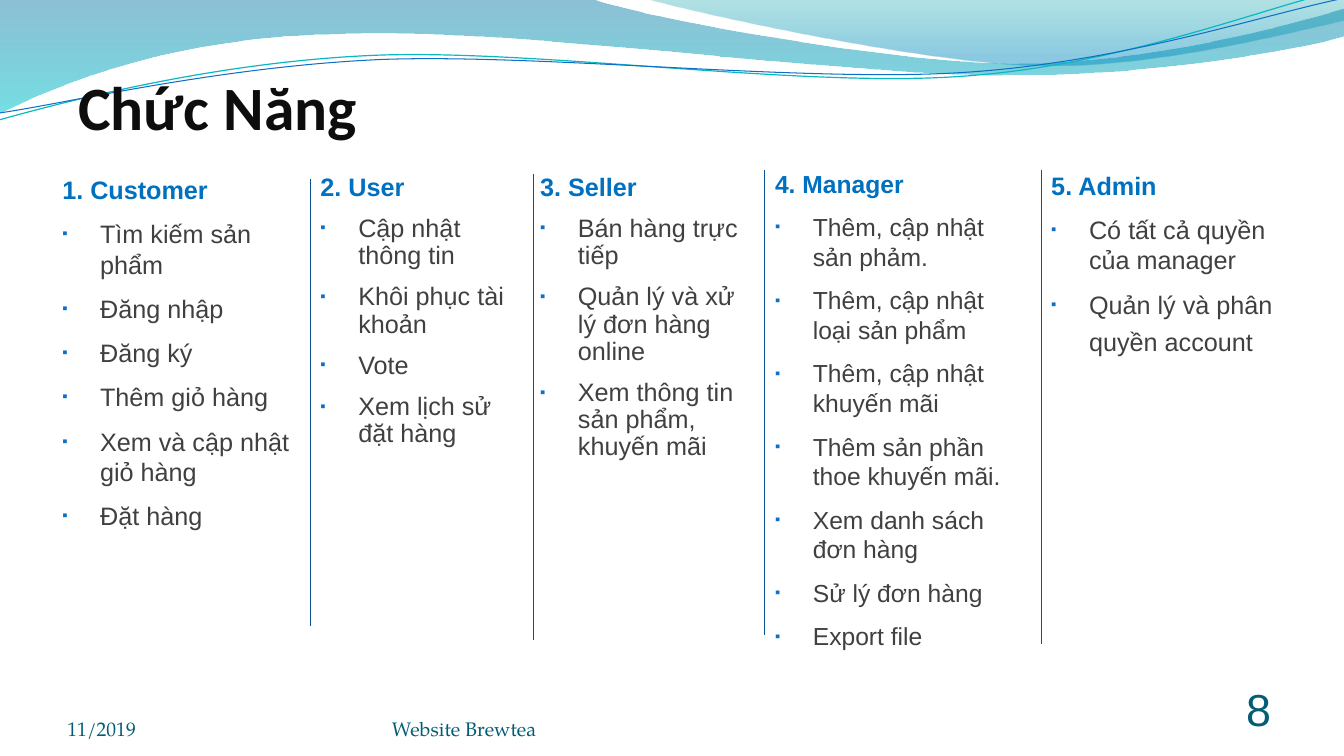
import pptx
import pptx.dml.color
import pptx.enum.shapes
import pptx.enum.text
import pptx.oxml.ns
import pptx.util
from lxml import etree

Pt = pptx.util.Pt
RGBColor = pptx.dml.color.RGBColor
ANCHOR = pptx.enum.text.MSO_ANCHOR
ALIGN = pptx.enum.text.PP_ALIGN
qn = pptx.oxml.ns.qn

TITLE_INK = RGBColor(0x0D, 0x0D, 0x0D)
HEADING = RGBColor(0x00, 0x70, 0xC0)
BODY = RGBColor(0x40, 0x40, 0x40)
BULLET = RGBColor(0x0F, 0x6F, 0xC6)
FOOTER = RGBColor(0x04, 0x5D, 0x75)
DIVIDER = RGBColor(0x09, 0x52, 0x95)
TEAL_LINE = RGBColor(0x0A, 0xB8, 0xBF)
BLUE_LINE = RGBColor(0x0F, 0x6F, 0xC6)

# A step with one point is a straight line, with three a Bezier curve.
LEFT_WAVE = [
    [(422.6, -0.7)],
    [(456.5, 12.2), (637.2, 45.4), (727.9, 45.4)],
    [(819.4, 45.4), (920.2, 18.7), (959.8, 6.5)],
    [(961.2, 25.9)],
    [(943.9, 31.7), (835.2, 54.7), (715.7, 54)],
    [(596.9, 54), (366.5, 20.2), (247, 24.5)],
    [(123.8, 25.9), (43.9, 59.8), (-0.7, 81.4)],
]
RIGHT_WAVE = [
    [(488.9, 7.9), (654.5, 44.6), (738, 46.8)],
    [(821.5, 49.7), (923, 23), (959.8, 15.1)],
    [(959.8, 0)],
]
TEAL_CURVE = [
    [(46.1, 72.7), (151.9, 44.6), (265.7, 39.6)],
    [(379.4, 34.6), (568.8, 62.6), (684, 54.7)],
    [(799.2, 47.5), (901.4, 5.8), (958.3, -7.2)],
]
BLUE_CURVE = [
    [(45.4, 74.2), (157, 47.5), (272.2, 42.5)],
    [(386.6, 38.2), (573.1, 59), (687.6, 51.8)],
    [(802.8, 44.6), (903.6, 10.1), (960.5, -1.4)],
]
# Each stop: position, colour, opacity in percent.
LEFT_STOPS = [(0, RGBColor(0x00, 0x74, 0xA1), 45), (1, RGBColor(0x00, 0xC6, 0xCF), 55)]
RIGHT_STOPS = [(0, RGBColor(0x00, 0xA1, 0xA9), 30), (0.8, RGBColor(0x00, 0x8B, 0xBF), 45)]

# Box, text size, heading spacing, item spacing, heading, items.
ROLES = [
    ((37.4, 121, 185.8, 353.5), 18, 1, 1, "1. Customer",
     ["Tìm kiếm sản phẩm", "Đăng nhập", "Đăng ký", "Thêm giỏ hàng",
      "Xem và cập nhật giỏ hàng", "Đặt hàng"]),
    ((221.8, 121, 159.8, 342), 18, 0.9, 0.9, "2. User",
     ["Cập nhật thông tin", "Khôi phục tài khoản", "Vote", "Xem lịch sử đặt hàng"]),
    ((378.7, 121, 159.8, 342), 18, 0.9, 0.9, "3. Seller",
     ["Bán hàng trực tiếp", "Quản lý và xử lý đơn hàng online",
      "Xem thông tin sản phẩm, khuyến mãi"]),
    ((546.5, 121, 180.7, 342), 17.6, 0.8, 1, "4. Manager",
     ["Thêm, cập nhật sản phảm.", "Thêm, cập nhật loại sản phẩm",
      "Thêm, cập nhật khuyến mãi", "Thêm sản phần thoe khuyến mãi.",
      "Xem danh sách đơn hàng", "Sử lý đơn hàng", "Export file"]),
    ((743.8, 118, 181.4, 342), 18, 1, 1, "5. Admin",
     ["Có tất cả quyền của manager", "Quản lý và phân quyền account"]),
]
DIVIDERS = [(221.8, 128.2, 447.1), (381.2, 124.6, 457.2),
            (546.2, 121.3, 453.6), (743.8, 121.3, 460.1)]


def add_outline(s, start, steps, close):
    """Draw every point as a line end, then join each three into a curve."""
    builder = s.shapes.build_freeform(*map(Pt, start))
    builder.add_line_segments([(Pt(x), Pt(y)) for step in steps for x, y in step], close=close)
    sp = builder.convert_to_shape()
    sp.shadow.inherit = False
    segments = iter(list(sp._element.spPr.iter(qn("a:lnTo"))))
    for step in steps:
        first, *others = [next(segments) for _ in step]
        if others:
            first.tag = qn("a:cubicBezTo")
        for segment in others:
            first.append(segment[0])
            segment.getparent().remove(segment)
    return sp


def add_wave(s, start, steps, stops):
    sp = add_outline(s, start, steps, True)
    sp.line.fill.background()
    sp.fill.gradient()
    sp.fill.gradient_angle = 270
    for stop, (position, color, _) in zip(sp.fill.gradient_stops, stops):
        stop.position = position
        stop.color.rgb = color
    for clr, (_, _, opacity) in zip(sp._element.spPr.iter(qn("a:srgbClr")), stops):
        etree.SubElement(clr, qn("a:alpha"), val=str(opacity * 1000))


def add_curve(s, start, steps, color, width):
    sp = add_outline(s, start, steps, False)
    sp.fill.background()
    sp.line.color.rgb = color
    sp.line.width = Pt(width)


def add_header_waves(s):
    add_wave(s, (0, 0), LEFT_WAVE, LEFT_STOPS)
    add_wave(s, (460.1, -0.7), RIGHT_WAVE, RIGHT_STOPS)
    add_curve(s, (-0.7, 85.7), TEAL_CURVE, TEAL_LINE, 0.85)
    add_curve(s, (0, 80.6), BLUE_CURVE, BLUE_LINE, 0.75)


def add_frame(s, box, insets, anchor):
    tf = s.shapes.add_textbox(*map(Pt, box)).text_frame
    tf.word_wrap = True
    tf.vertical_anchor = anchor
    tf.margin_left, tf.margin_top, tf.margin_right, tf.margin_bottom = map(Pt, insets)
    return tf


def add_run(p, text, size, color, font="Arial", bold=False):
    r = p.add_run()
    r.text = text
    r.font.size, r.font.name, r.font.bold = Pt(size), font, bold
    r.font.color.rgb = color


def add_label(s, box, text, size, color, font, bold=False, align=ALIGN.LEFT, top=0):
    p = add_frame(s, box, (0, top, 0, 0), ANCHOR.BOTTOM).paragraphs[0]
    p.alignment = align
    add_run(p, text, size, color, font, bold)


def set_bullet(p):
    pPr = p._p.get_or_add_pPr()
    pPr.set("marL", str(Pt(27)))
    pPr.set("indent", str(-Pt(27)))
    clr = etree.SubElement(pPr, qn("a:buClr"))
    etree.SubElement(clr, qn("a:srgbClr"), val=str(BULLET))
    etree.SubElement(pPr, qn("a:buSzPct"), val="60000")
    etree.SubElement(pPr, qn("a:buFont"), typeface="Arial")
    etree.SubElement(pPr, qn("a:buChar"), char="▪")


def add_role(s, box, size, heading_spacing, item_spacing, heading, items):
    tf = add_frame(s, box, (7.2, 3.6, 7.2, 3.6), ANCHOR.TOP)
    p = tf.paragraphs[0]
    p.line_spacing = heading_spacing
    add_run(p, heading, size, HEADING, bold=True)
    for item in items:
        p = tf.add_paragraph()
        set_bullet(p)
        p.line_spacing = item_spacing
        p.space_before = Pt(10)
        add_run(p, item, size, BODY)
    return tf


def add_divider(s, x, top, bottom):
    line = s.shapes.add_connector(
        pptx.enum.shapes.MSO_CONNECTOR.STRAIGHT, Pt(x), Pt(top), Pt(x), Pt(bottom))
    line.line.color.rgb = DIVIDER
    line.line.width = Pt(0.75)
    etree.SubElement(line._element.spPr, qn("a:effectLst"))


def add_footer(s):
    add_label(s, (48.2, 500.4, 224, 28.8), "11/2019", 14, FOOTER, "TeX Gyre Pagella")
    add_label(s, (280, 500.4, 352, 28.8), "Website Brewtea", 14, FOOTER, "TeX Gyre Pagella")
    add_label(s, (828.7, 496.8, 79.5, 28.8), "8", 32, FOOTER, "Arial", align=ALIGN.RIGHT)


def main():
    prs = pptx.Presentation()
    prs.slide_width, prs.slide_height = Pt(960), Pt(540)
    s = prs.slides.add_slide(prs.slide_layouts[6])
    add_header_waves(s)
    add_label(s, (56, 12.2, 864, 90), "Chức Năng", 44, TITLE_INK, "Calibri", True, top=3.6)
    for role in ROLES:
        tf = add_role(s, *role)
    # The last item of the last role is set looser than the rest.
    tf.paragraphs[-1].line_spacing = 1.24
    tf.paragraphs[-1].space_before = Pt(5)
    for divider in DIVIDERS:
        add_divider(s, *divider)
    add_footer(s)
    prs.save("out.pptx")


if __name__ == "__main__":
    main()
